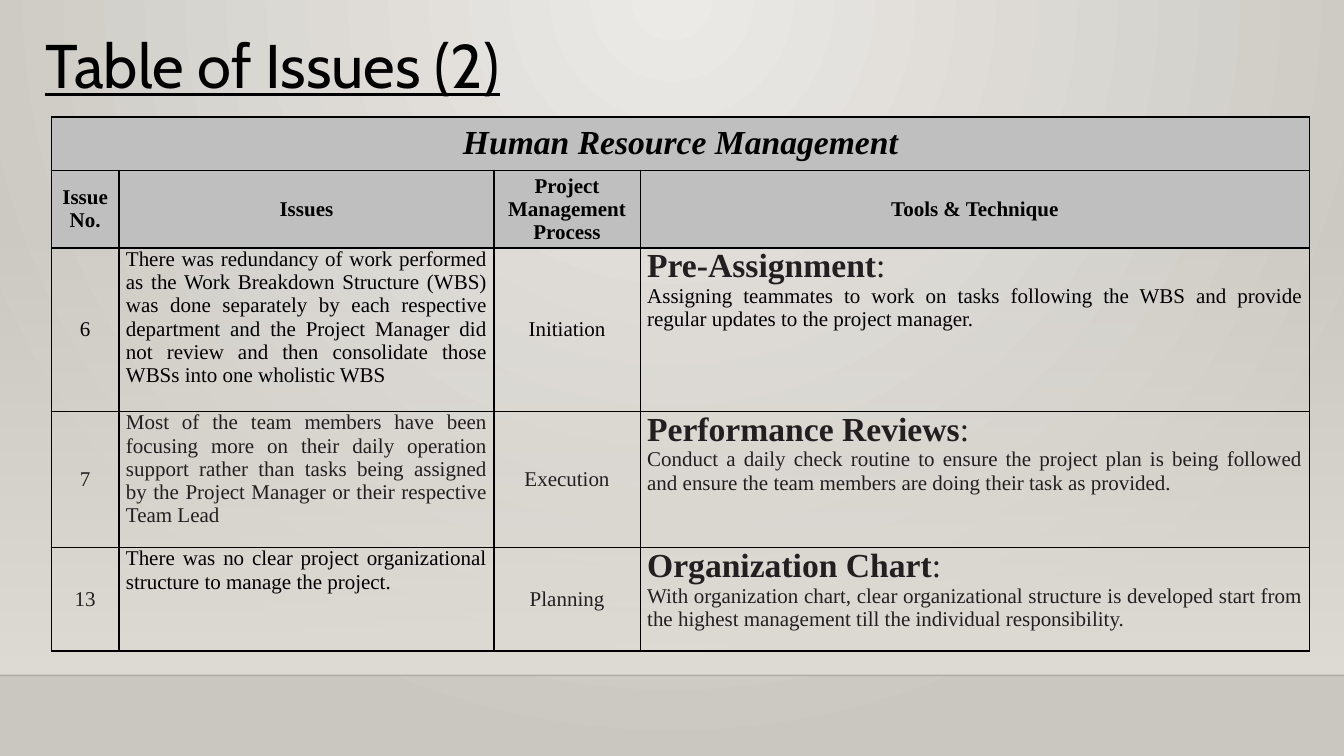
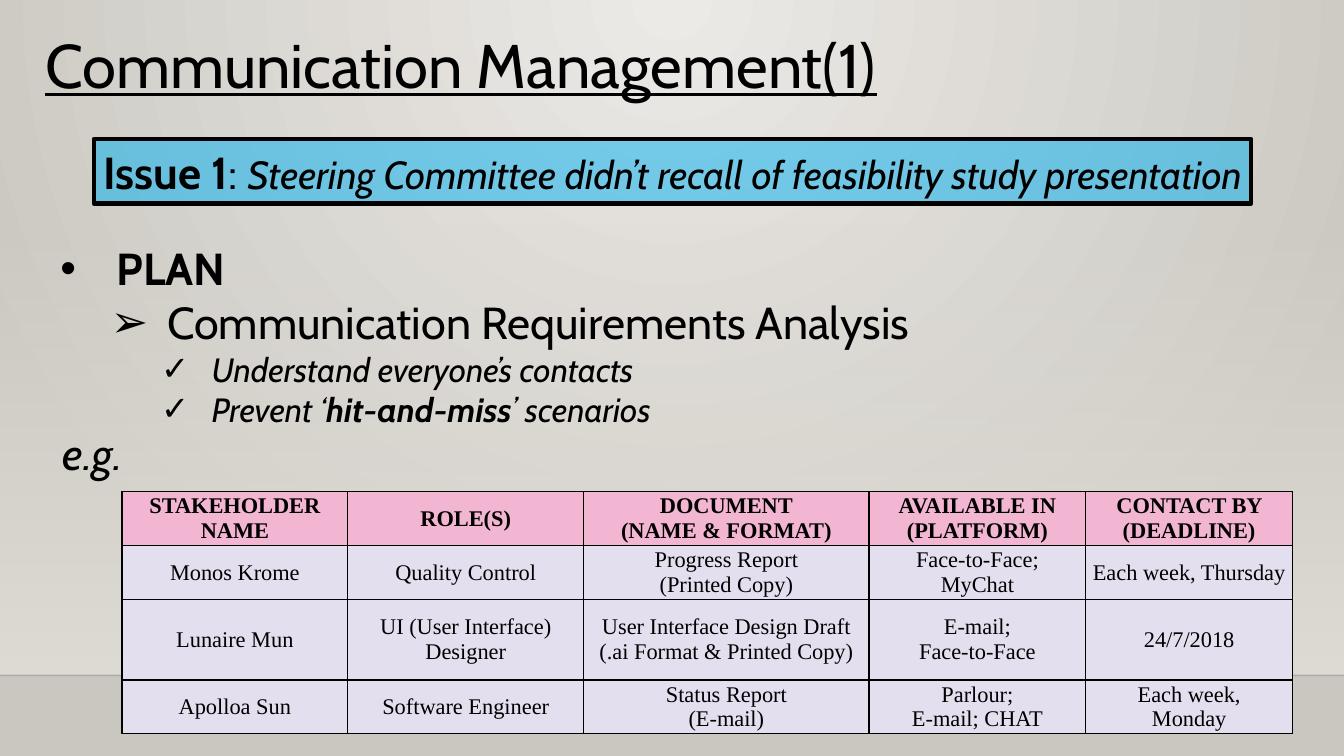
from lxml.etree import SubElement
from pptx import Presentation
from pptx.dml.color import RGBColor
from pptx.enum.shapes import MSO_CONNECTOR, MSO_SHAPE
from pptx.enum.text import MSO_ANCHOR, PP_ALIGN
from pptx.oxml import parse_xml
from pptx.oxml.ns import nsdecls, qn
from pptx.util import Inches, Pt

WIDTH, HEIGHT = 13.33, 7.5
FLOOR = 6.7
SANS, SERIF = "Cabin", "Times New Roman"
BLACK, INK = "000000", "231F20"
GREY, PINK, LILAC, BLUE = "BFBFBF", "F2B5D2", "E4DFEF", "00B0F0"
SPOTLIGHT = ([(0, "ECEAE7", 100), (100, "CAC7C1", 100)],
             '<a:path path="circle"><a:fillToRect l="43000" t="0" r="43000" b="100000"/></a:path>')
WALL = ([(0, "DFDBD5", 0), (100, "DFDBD5", 100)], '<a:lin ang="5400000" scaled="0"/>')

ISSUE_TITLE = "Table of Issues (2)"
ISSUE_GROUP = "Human Resource Management"
ISSUE_HEADS = ["Issue No.", "Issues", "Project Management Process", "Tools & Technique"]
ISSUE_COLUMNS = [0.67, 3.72, 1.45, 6.64]
ISSUE_ROWS = [0.53, 0.77, 1.62, 1.35, 1.03]
ISSUES = [
    ("6", "There was redundancy of work performed as the Work Breakdown Structure (WBS) was done "
     "separately by each respective department and the Project Manager did not review and then "
     "consolidate those WBSs into one wholistic WBS",
     "Initiation", "Pre-Assignment",
     "Assigning teammates to work on tasks following the WBS and provide regular updates to the "
     "project manager.", BLACK, BLACK),
    ("7", "Most of the team members have been focusing more on their daily operation support rather "
     "than tasks being assigned by the Project Manager or their respective Team Lead",
     "Execution", "Performance Reviews",
     "Conduct a daily check routine to ensure the project plan is being followed and ensure the "
     "team members are doing their task as provided.", INK, INK),
    ("13", "There was no clear project organizational structure to manage the project.",
     "Planning", "Organization Chart",
     "With organization chart, clear organizational structure is developed start from the highest "
     "management till the individual responsibility.", BLACK, INK),
]

PLAN_TITLE = "Communication Management(1)"
PLAN_ISSUE = [("Issue 1", 32, "b"), (": ", 32, ""),
              ("Steering Committee didn’t recall of feasibility study presentation", 28, "i")]
PLAN_POINTS = [
    (0, "•", 0.56, 0.56, [("PLAN", 32, "b")]),
    (1, "➢", 1.06, 0.56, [("Communication Requirements Analysis", 32, "")]),
    (2, "✓", 1.5, 0.5, [("Understand everyone’s contacts", 24, "i")]),
    (2, "✓", 1.5, 0.5, [("Prevent ‘", 24, "i"), ("hit-and-miss", 24, "bi"), ("’ scenarios", 24, "i")]),
]
CONTACT_COLUMNS = [2.24, 2.34, 2.83, 2.15, 2.05]
CONTACT_ROWS = [0.53, 0.53, 0.8, 0.53]
CONTACTS = [
    ["STAKEHOLDER NAME", "ROLE(S)", "DOCUMENT\n(NAME & FORMAT)", "AVAILABLE IN (PLATFORM)",
     "CONTACT BY (DEADLINE)"],
    ["Monos Krome", "Quality Control", "Progress Report\n(Printed Copy)", "Face-to-Face;\nMyChat",
     "Each week, Thursday"],
    ["Lunaire Mun", "UI (User Interface) Designer",
     "User Interface Design Draft (.ai Format & Printed Copy)", "E-mail;\nFace-to-Face", "24/7/2018"],
    ["Apolloa Sun", "Software Engineer", "Status Report\n(E-mail)", "Parlour;\nE-mail; CHAT",
     "Each week,\nMonday"],
]


def colour(code):
    return RGBColor.from_string(code)


def set_alpha(fill_element, percent):
    SubElement(next(fill_element.iter(qn("a:srgbClr"))), qn("a:alpha"), val=str(percent * 1000))


def set_gradient(fill, owner, gradient):
    stops, direction = gradient
    marks = "".join(
        f'<a:gs pos="{place * 1000}"><a:srgbClr val="{code}"><a:alpha val="{alpha * 1000}"/></a:srgbClr></a:gs>'
        for place, code, alpha in stops)
    fill.gradient()
    plain = next(owner.iter(qn("a:gradFill")))
    plain.getparent().replace(plain, parse_xml(
        f'<a:gradFill {nsdecls("a")} rotWithShape="1"><a:gsLst>{marks}</a:gsLst>{direction}</a:gradFill>'))


def write(frame, paragraphs, font=SANS, code=BLACK, align=PP_ALIGN.LEFT):
    for index, spans in enumerate(paragraphs):
        para = frame.add_paragraph() if index else frame.paragraphs[0]
        para.alignment = align
        for text, size, style in spans:
            span = para.add_run()
            span.text = text
            span.font.name = font
            span.font.size = Pt(size)
            span.font.color.rgb = colour(code)
            span.font.bold = "b" in style
            span.font.italic = "i" in style
            span.font.underline = "u" in style


def add_text(page, area, paragraphs, align=PP_ALIGN.LEFT, wrap=True):
    frame = page.shapes.add_textbox(*map(Inches, area)).text_frame
    frame.word_wrap = wrap
    write(frame, paragraphs, align=align)
    return frame


def add_rectangle(page, area):
    box = page.shapes.add_shape(MSO_SHAPE.RECTANGLE, *map(Inches, area))
    box.shadow.inherit = False
    return box


def add_page(deck, title, title_width):
    page = deck.slides.add_slide(deck.slide_layouts[6])
    wall = add_rectangle(page, (0, 2.21, WIDTH, FLOOR - 2.21))
    set_gradient(wall.fill, wall.element, WALL)
    wall.line.fill.background()
    edge = page.shapes.add_connector(MSO_CONNECTOR.STRAIGHT, 0, Inches(FLOOR), Inches(WIDTH), Inches(FLOOR))
    edge.line.color.rgb = colour("000001")
    edge.line.width = Pt(1)
    properties = edge.element.spPr
    set_alpha(properties, 20)
    SubElement(properties, qn("a:effectLst"))
    add_text(page, (0.35, 0.22, title_width, 0.84), [[(title, 44, "u")]], wrap=False)
    return page


def add_grid(page, left, top, columns, rows):
    table = page.shapes.add_table(len(rows), len(columns), *map(
        Inches, (left, top, sum(columns), sum(rows)))).table
    table.first_row = table.horz_banding = False
    for column, width in zip(table.columns, columns):
        column.width = Inches(width)
    for row, height in zip(table.rows, rows):
        row.height = Inches(height)
    for cell in table.iter_cells():
        cell.margin_left = cell.margin_right = Inches(0.07)
        cell.margin_top = cell.margin_bottom = 0
        cell.fill.background()
        for index, side in enumerate(("lnL", "lnR", "lnT", "lnB")):
            cell._tc.get_or_add_tcPr().insert(index, parse_xml(
                f'<a:{side} {nsdecls("a")} w="12700"><a:solidFill><a:srgbClr val="{BLACK}"/>'
                f'</a:solidFill></a:{side}>'))
    return table


def fill_cell(cell, paragraphs, shade=None, code=BLACK, centred=True):
    if shade:
        cell.fill.solid()
        cell.fill.fore_color.rgb = colour(shade)
    cell.vertical_anchor = MSO_ANCHOR.MIDDLE if centred else MSO_ANCHOR.TOP
    write(cell.text_frame, paragraphs, SERIF, code, PP_ALIGN.CENTER if centred else PP_ALIGN.JUSTIFY)


def build_issues(deck):
    page = add_page(deck, ISSUE_TITLE, 11.16)
    table = add_grid(page, 0.51, 1.16, ISSUE_COLUMNS, ISSUE_ROWS)
    table.cell(0, 0).merge(table.cell(0, len(ISSUE_COLUMNS) - 1))
    fill_cell(table.cell(0, 0), [[(ISSUE_GROUP, 24, "bi")]], GREY)
    for column, head in enumerate(ISSUE_HEADS):
        fill_cell(table.cell(1, column), [[(head, 15, "b")]], GREY)
    for row, (number, issue, process, tool, note, issue_code, code) in enumerate(ISSUES, 2):
        fill_cell(table.cell(row, 0), [[(number, 15, "")]], code=code)
        fill_cell(table.cell(row, 1), [[(issue, 15, "")]], code=issue_code, centred=False)
        fill_cell(table.cell(row, 2), [[(process, 15, "")]], code=code)
        technique = table.cell(row, 3)
        fill_cell(technique, [[(tool, 24, "b"), (":", 24, "")], [(note, 15, "")]], code=code, centred=False)
        for span in technique.text_frame.paragraphs[0].runs:
            span.font.color.rgb = colour(INK)


def build_plan(deck):
    page = add_page(deck, PLAN_TITLE, 8.93)
    points = add_text(page, (0.5, 2.34, 10.13, 1.99), [point[-1] for point in PLAN_POINTS])
    for para, (level, mark, indent, hang, spans) in zip(points.paragraphs, PLAN_POINTS):
        para.level = level
        properties = para._p.get_or_add_pPr()
        properties.set("marL", str(Inches(indent)))
        properties.set("indent", str(-Inches(hang)))
        SubElement(properties, qn("a:buFont"), typeface="Arial")
        SubElement(properties, qn("a:buChar"), char=mark)

    banner = add_rectangle(page, (0.93, 1.38, 11.48, 0.64))
    banner.fill.solid()
    banner.fill.fore_color.rgb = colour(BLUE)
    set_alpha(banner.element.spPr, 50)
    banner.line.color.rgb = colour(BLACK)
    banner.line.width = Pt(3)
    banner.text_frame.word_wrap = False
    write(banner.text_frame, [PLAN_ISSUE], align=PP_ALIGN.CENTER)

    table = add_grid(page, 1.21, 4.88, CONTACT_COLUMNS, CONTACT_ROWS)
    for row, texts in enumerate(CONTACTS):
        shade, style = (LILAC, "") if row else (PINK, "b")
        for column, text in enumerate(texts):
            lines = [[(line, 16, style)] for line in text.split("\n")]
            fill_cell(table.cell(row, column), lines, shade)
    add_text(page, (0.43, 4.17, 0.98, 0.64), [[("e.g.", 32, "i")]], PP_ALIGN.CENTER, wrap=False)


def main():
    deck = Presentation()
    deck.slide_width, deck.slide_height = Inches(WIDTH), Inches(HEIGHT)
    master = deck.slide_master
    set_gradient(master.background.fill, master.element, SPOTLIGHT)
    build_issues(deck)
    build_plan(deck)
    deck.save("out.pptx")


if __name__ == "__main__":
    main()
